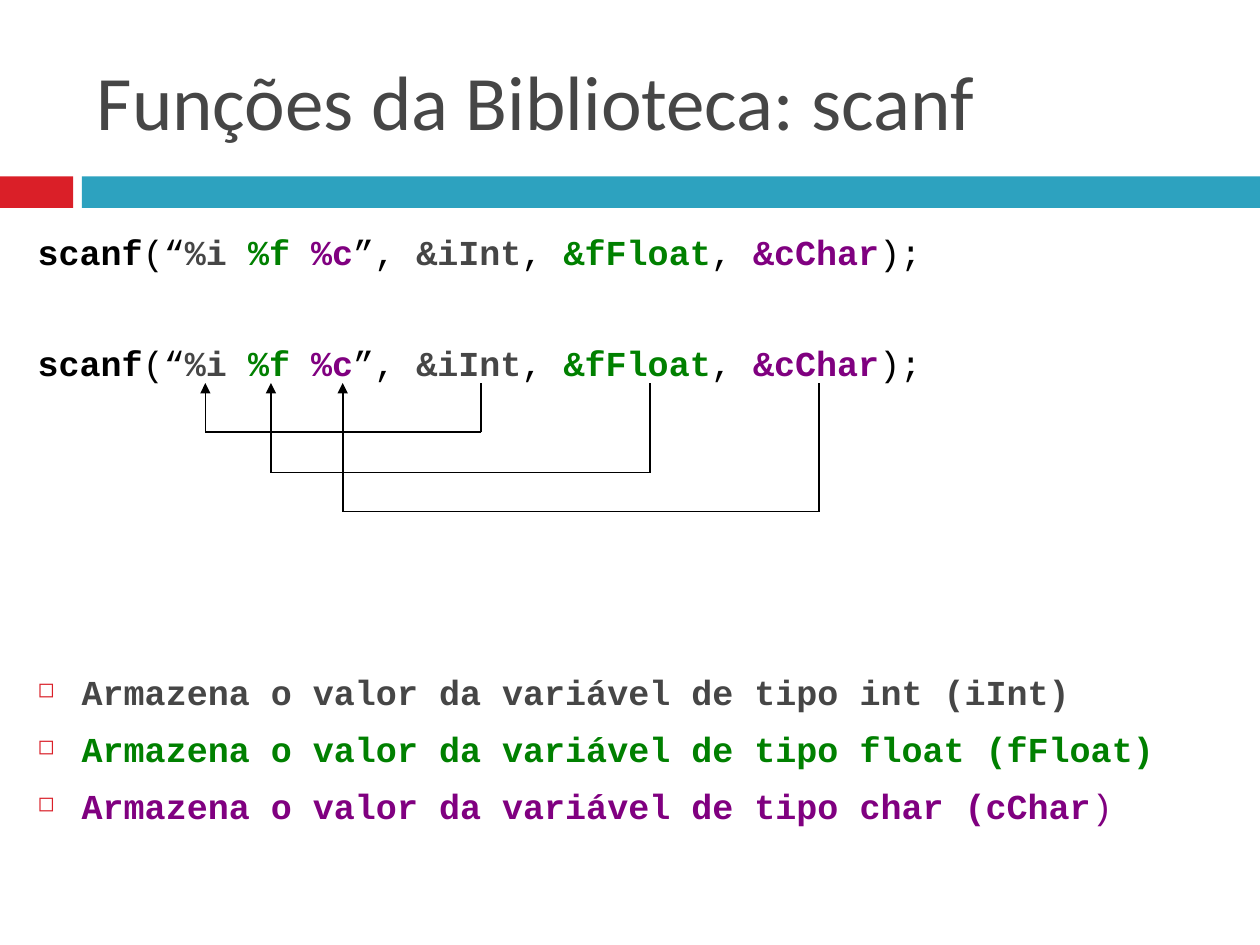
from dataclasses import dataclass

from lxml import etree
from pptx import Presentation
from pptx.dml.color import RGBColor
from pptx.enum.shapes import MSO_CONNECTOR as Connector, MSO_SHAPE as Shape
from pptx.enum.text import MSO_ANCHOR as Anchor
from pptx.oxml.ns import qn
from pptx.util import Inches, Pt


@dataclass(frozen=True)
class Theme:
    """Colours, fonts and type sizes of the slide."""
    red: str = "DA1F28"
    blue: str = "2DA2BF"
    black: str = "000000"
    gray: str = "464646"
    green: str = "008000"
    purple: str = "800080"
    title_font: str = "Calibri"
    code_font: str = "Courier New"
    title_size: int = 44
    code_size: int = 20


def add_run(paragraph, text, *, font, size, color, bold=False):
    """Append formatted text to a paragraph."""
    run = paragraph.add_run()
    run.text = text
    run.font.name = font
    run.font.size = Pt(size)
    run.font.bold = bold
    run.font.color.rgb = RGBColor.from_string(color)


def add_child(parent, tag, **attributes):
    """Append a DrawingML element and return it."""
    return etree.SubElement(parent, qn(tag), attributes)


class SlideBuilder:
    """Draws elements on the current slide in one style."""

    def __init__(self, slide, theme):
        self.slide = slide
        self.theme = theme

    def bar(self, left, top, width, height, color):
        """Draw a plain filled rectangle."""
        shape = self.slide.shapes.add_shape(
            Shape.RECTANGLE, Inches(left), Inches(top), Inches(width), Inches(height))
        shape.shadow.inherit = False
        shape.fill.solid()
        shape.fill.fore_color.rgb = RGBColor.from_string(color)
        shape.line.fill.background()

    def text_box(self, left, top, width, height, anchor=Anchor.TOP):
        """Add a wrapping text box and return its frame."""
        box = self.slide.shapes.add_textbox(
            Inches(left), Inches(top), Inches(width), Inches(height))
        frame = box.text_frame
        frame.word_wrap = True
        frame.vertical_anchor = anchor
        return frame

    def code(self, paragraph, runs, space_before, bullet=False):
        """Fill a hanging paragraph with (text, colour, bold) code runs."""
        paragraph.space_before = Pt(space_before)
        properties = paragraph._p.get_or_add_pPr()
        properties.set("marL", str(Inches(0.35)))
        properties.set("indent", str(Inches(-0.35)))
        if bullet:
            color = add_child(properties, "a:buClr")
            add_child(color, "a:srgbClr", val=self.theme.red)
            add_child(properties, "a:buSzPct", val="60000")
            add_child(properties, "a:buChar", char="◻")
        else:
            add_child(properties, "a:buNone")
        for text, color, bold in runs:
            add_run(paragraph, text, font=self.theme.code_font,
                    size=self.theme.code_size, color=color, bold=bold)

    def line(self, start, end, arrow=False):
        """Draw a thin straight line, with an arrowhead at its end if asked."""
        connector = self.slide.shapes.add_connector(
            Connector.STRAIGHT, *(Inches(value) for value in (*start, *end)))
        connector.line.width = Pt(1)
        connector.line.color.rgb = RGBColor.from_string(self.theme.black)
        if arrow:
            add_child(connector.line._get_or_add_ln(), "a:tailEnd", type="triangle")
        add_child(connector._element.spPr, "a:effectLst")

    def link(self, source, target, top, bottom):
        """Lead from an argument down, across and up to its format code."""
        points = [(source, top), (source, bottom), (target, bottom), (target, top)]
        for start, end in zip(points, points[1:]):
            self.line(start, end, arrow=end == points[-1])


def main():
    """Build and save the slide."""
    presentation = Presentation()
    presentation.slide_width, presentation.slide_height = Inches(10), Inches(7.5)
    slide = presentation.slides.add_slide(presentation.slide_layouts[6])
    theme = Theme()
    builder = SlideBuilder(slide, theme)

    builder.bar(0, 1.4, 0.58, 0.25, theme.red)
    builder.bar(0.65, 1.4, 9.35, 0.25, theme.blue)
    title = builder.text_box(0.67, 0.25, 9.13, 1.08, Anchor.MIDDLE)
    add_run(title.paragraphs[0], "Funções da Biblioteca: scanf",
            font=theme.title_font, size=theme.title_size, color=theme.gray)

    call = [
        ("scanf", theme.black, True), ("(“", theme.black, False),
        ("%i ", theme.gray, True), ("%f ", theme.green, True),
        ("%c", theme.purple, True), ("”, ", theme.black, False),
        ("&iInt", theme.gray, True), (", ", theme.black, False),
        ("&fFloat", theme.green, True), (", ", theme.black, False),
        ("&cChar", theme.purple, True), (");", theme.black, False),
    ]
    meaning = "Armazena o valor da variável de tipo "
    bullets = [
        [(meaning + "int (iInt)", theme.gray, True)],
        [(meaning + "float (fFloat)", theme.green, True)],
        [(meaning + "char (cChar", theme.purple, True), (")", theme.purple, False)],
    ]
    body = builder.text_box(0.2, 1.78, 9.69, 4.82)
    builder.code(body.paragraphs[0], call, 7)
    builder.code(body.add_paragraph(), call, 39.5)
    for runs, space_before in zip(bullets, (164, 8.5, 8.5)):
        builder.code(body.add_paragraph(), runs, space_before, bullet=True)

    for source, target, bottom in ((3.82, 1.63, 3.43), (5.16, 2.15, 3.75), (6.5, 2.72, 4.06)):
        builder.link(source, target, 3.04, bottom)

    presentation.save("out.pptx")


main()
